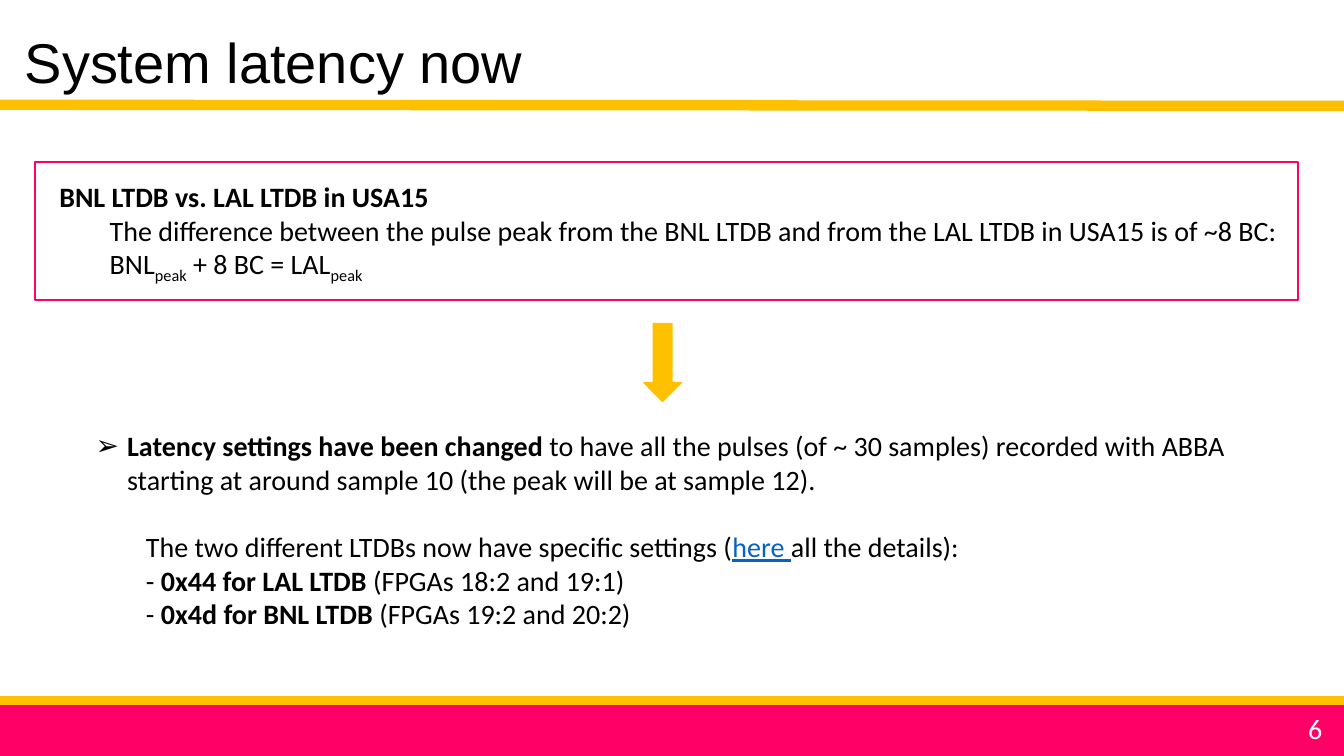
from dataclasses import dataclass

from lxml import etree
from pptx import Presentation
from pptx.dml.color import RGBColor
from pptx.enum.shapes import MSO_CONNECTOR, MSO_SHAPE
from pptx.oxml.ns import qn
from pptx.util import Pt

STRAIGHT = MSO_CONNECTOR.STRAIGHT
RECTANGLE = MSO_SHAPE.RECTANGLE
DOWN_ARROW = MSO_SHAPE.DOWN_ARROW


@dataclass(frozen=True)
class Theme:
    yellow: RGBColor = RGBColor(0xFF, 0xC0, 0x00)
    pink: RGBColor = RGBColor(0xFF, 0x00, 0x66)
    black: RGBColor = RGBColor(0x00, 0x00, 0x00)
    white: RGBColor = RGBColor(0xFF, 0xFF, 0xFF)
    link: RGBColor = RGBColor(0x05, 0x63, 0xC1)
    title_font: str = "Arial"
    body_font: str = "Calibri"
    title_size: int = 40
    body_size: int = 20


THEME = Theme()
PAGE_WIDTH, PAGE_HEIGHT = 960, 540
INDENT = 36
BULLET_INDENT = 22.5
LINE_GAP = 24


def add_rule(page, start_y, end_y, width):
    rule = page.shapes.add_connector(
        STRAIGHT, Pt(0), Pt(start_y), Pt(PAGE_WIDTH), Pt(end_y))
    rule.line.color.rgb = THEME.yellow
    rule.line.width = Pt(width)
    etree.SubElement(rule._element.spPr, qn("a:effectLst"))


def add_block(page, kind, left, top, width, height, color, line_width, filled=True):
    block = page.shapes.add_shape(kind, Pt(left), Pt(top), Pt(width), Pt(height))
    block.shadow.inherit = False
    if filled:
        block.fill.solid()
        block.fill.fore_color.rgb = color
    else:
        block.fill.background()
    block.line.color.rgb = color
    block.line.width = Pt(line_width)


def add_box(page, left, top, width, height, wrap=True):
    box = page.shapes.add_textbox(Pt(left), Pt(top), Pt(width), Pt(height))
    box.text_frame.word_wrap = wrap
    return box.text_frame


def add_label(page, text, left, top, width, height, font, size, color):
    frame = add_box(page, left, top, width, height, wrap=False)
    frame.text = text
    style_span(frame.paragraphs[0].runs[0], font, size, color)


def style_span(span, font, size, color):
    span.font.name = font
    span.font.size = Pt(size)
    span.font.color.rgb = color


def add_span(para, text, style=""):
    span = para.add_run()
    span.text = text
    style_span(span, THEME.body_font, THEME.body_size,
               THEME.link if style == "link" else THEME.black)
    span.font.bold = style == "bold"
    if style == "link":
        span.font.underline = True
    if style == "sub":
        span.font._element.set("baseline", "-25000")


def set_indent(para, margin, first_line=0):
    properties = para._p.get_or_add_pPr()
    properties.set("marL", str(Pt(margin)))
    properties.set("indent", str(Pt(first_line)))
    return properties


def set_bullet(para, symbol):
    properties = set_indent(para, BULLET_INDENT, -BULLET_INDENT)
    etree.SubElement(properties, qn("a:buFont")).set("typeface", THEME.title_font)
    etree.SubElement(properties, qn("a:buChar")).set("char", symbol)


def fill_paragraphs(frame, lines):
    for index, spans in enumerate(lines):
        para = frame.add_paragraph() if index else frame.paragraphs[0]
        if index:
            para.level = 1
            set_indent(para, INDENT)
        for span in spans:
            add_span(para, *span)


def add_comparison(page):
    frame = add_box(page, 35.3, 124.6, 893.5, 80.6)
    fill_paragraphs(frame, [
        [("BNL LTDB vs. LAL LTDB in USA15", "bold")],
        [("The difference between the pulse peak from the BNL LTDB "
          "and from the LAL LTDB in USA15 is of ~8 BC:",)],
        [("BNL",), ("peak", "sub"), (" + 8 BC = LAL",), ("peak", "sub")],
    ])
    add_block(page, RECTANGLE, 25.2, 116, 902, 98.6, THEME.pink, 1.5, filled=False)


def add_settings(page):
    frame = add_box(page, 61.2, 302.8, 849.6, 153)
    fill_paragraphs(frame, [
        [("Latency settings have been changed ", "bold"),
         ("to have all the pulses (of ~ 30 samples) recorded with ABBA starting "
          "at around sample 10 (the peak will be at sample 12).",)],
        [("The two different LTDBs now have specific settings (",),
         ("here ", "link"), ("all the details):",)],
        [("- ",), ("0x44 for LAL LTDB ", "bold"), ("(FPGAs 18:2 and 19:1)",)],
        [("-",), (" 0x4d for BNL LTDB ", "bold"), ("(FPGAs 19:2 and 20:2)",)],
    ])
    set_bullet(frame.paragraphs[0], "➢")
    frame.paragraphs[1].space_before = Pt(LINE_GAP)


def main():
    deck = Presentation()
    deck.slide_width, deck.slide_height = Pt(PAGE_WIDTH), Pt(PAGE_HEIGHT)
    page = deck.slides.add_slide(deck.slide_layouts[6])

    add_rule(page, 76.3, 77, 4.5)
    add_block(page, RECTANGLE, 0, 501.1, PAGE_WIDTH, 38.9, THEME.pink, 1)
    add_rule(page, 500.4, 500.4, 6)
    add_label(page, "System latency now", 10.6, 15.8, 373.7, 55.4,
              THEME.title_font, THEME.title_size, THEME.black)
    add_rule(page, 73.4, 74.2, 4.5)
    add_label(page, "6", 927.4, 504.7, 24.5, 31.7,
              THEME.body_font, THEME.body_size, THEME.white)
    add_comparison(page)
    add_block(page, DOWN_ARROW, 459.9, 231.1, 26.8, 55.6, THEME.yellow, 1)
    add_settings(page)

    deck.save("out.pptx")


if __name__ == "__main__":
    main()
